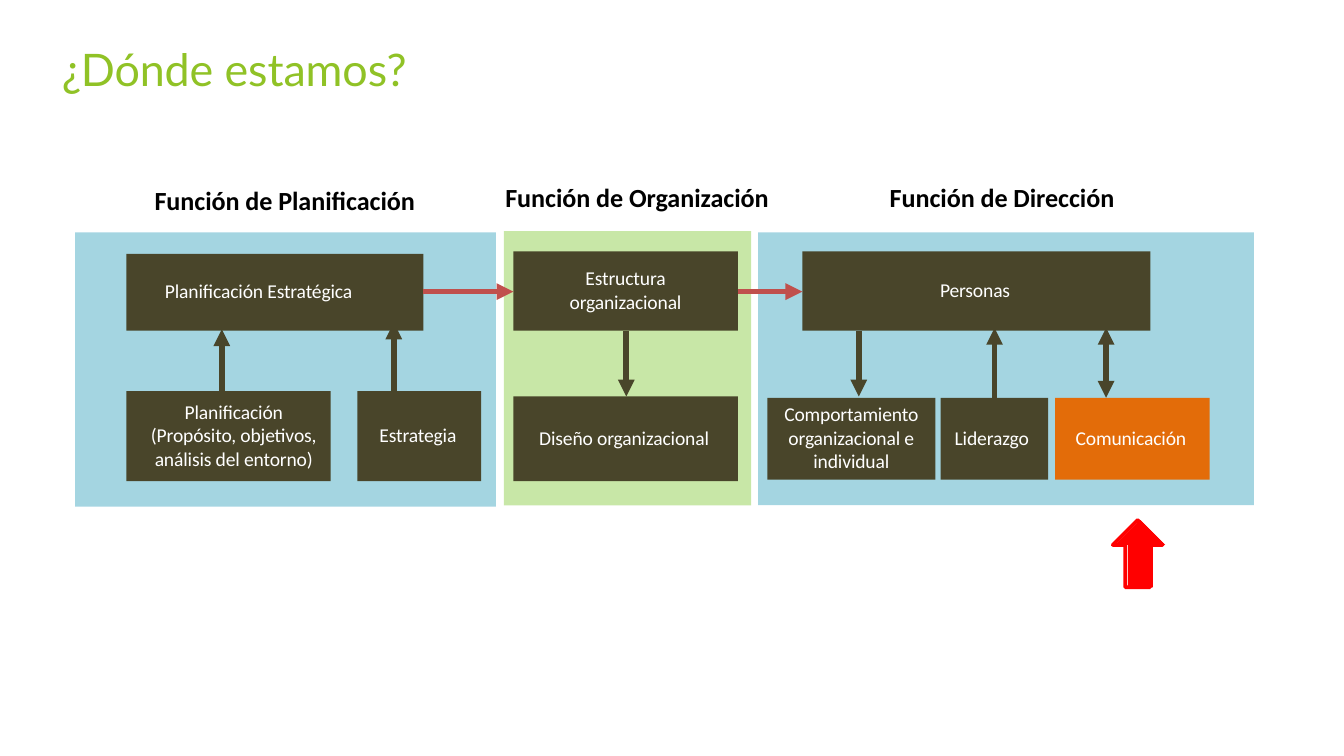
"""Build the slide that places communication among the management functions."""
from lxml import etree
from pptx import Presentation, util as u
from pptx.dml.color import RGBColor
from pptx.enum import shapes, text
from pptx.oxml.ns import qn

WIDTH, HEIGHT = 10, 10 * 9 / 16
BLUE, GREEN, BROWN, ORANGE = "4AACC5", "92D050", "49452A", "E36C09"
ROSE, RED, WHITE, BLACK = "C0504D", "FF0000", "FFFFFF", "000000"
TITLE = ("¿Dónde estamos?", (0.46, 0.29, 4.04, 0.43))

# Each function: heading, its box, panel box, panel colour
FUNCTIONS = [
    ("Función de Planificación", (1.15, 1.35, 2.29, 0.25), (0.56, 1.73, 3.13, 2.04), BLUE),
    ("Función de Organización", (3.76, 1.33, 2.39, 0.25), (3.75, 1.72, 1.84, 2.04), GREEN),
    ("Función de Dirección", (6.62, 1.33, 2.22, 0.25), (5.64, 1.73, 3.69, 2.03), BLUE),
]
# Each box: lines, place, colour, sideways shift of the words
BOXES = [
    (["Planificación Estratégica"], (0.94, 1.89, 2.21, 0.57), BROWN, -0.12),
    (["Planificación", "(Propósito, objetivos,", "análisis del entorno)"],
     (0.94, 2.91, 1.52, 0.67), BROWN, 0.04),
    (["Estrategia"], (2.66, 2.91, 0.92, 0.67), BROWN, -0.01),
    (["Estructura", "organizacional"], (3.82, 1.87, 1.67, 0.59), BROWN, 0),
    (["Diseño organizacional"], (3.82, 2.95, 1.67, 0.63), BROWN, -0.01),
    (["Personas"], (5.97, 1.87, 2.59, 0.59), BROWN, -0.01),
    (["Comportamiento", "organizacional e", "individual"],
     (5.71, 2.96, 1.25, 0.61), BROWN, 0),
    (["Liderazgo"], (7, 2.96, 0.8, 0.61), BROWN, -0.02),
    (["Comunicación"], (7.85, 2.96, 1.15, 0.61), ORANGE, -0.01),
]
# Each arrow: from, to, colour, ends that carry a head
ARROWS = [
    ((3.15, 2.17), (3.82, 2.17), ROSE, ["tailEnd"]),
    ((5.49, 2.17), (5.97, 2.17), ROSE, ["tailEnd"]),
    ((1.65, 2.91), (1.65, 2.45), BROWN, ["tailEnd"]),
    ((2.93, 2.91), (2.93, 2.4), BROWN, ["tailEnd"]),
    ((4.66, 2.46), (4.66, 2.95), BROWN, ["tailEnd"]),
    ((6.39, 2.46), (6.39, 2.95), BROWN, ["tailEnd"]),
    ((7.4, 2.96), (7.4, 2.44), BROWN, ["tailEnd"]),
    ((8.23, 2.44), (8.23, 2.96), BROWN, ["headEnd", "tailEnd"]),
]
MARKER_FILL, MARKER_OUTLINE = (8.3, 3.87, 0.37, 0.5), (8.28, 3.87, 0.37, 0.5)


def color(value):
    return RGBColor.from_string(value)


def inches(values):
    return [u.Inches(value) for value in values]


def write(shape, words, size, ink, font="Calibri", bold=False, centered=False, shift=0):
    frame = shape.text_frame
    frame.text = words
    settings = {
        "word_wrap": not centered,
        "auto_size": text.MSO_AUTO_SIZE.NONE,
        "vertical_anchor": text.MSO_ANCHOR.MIDDLE if centered else text.MSO_ANCHOR.TOP,
        "margin_left": u.Inches(max(0, 2 * shift)),
        "margin_right": u.Inches(max(0, -2 * shift)),
        "margin_top": 0 if centered else u.Inches(0.02),
        "margin_bottom": u.Inches(0.02) if centered else 0,
    }
    for name, value in settings.items():
        setattr(frame, name, value)
    paragraph = frame.paragraphs[0]
    paragraph.alignment = text.PP_ALIGN.CENTER if centered else text.PP_ALIGN.LEFT
    for run in paragraph.runs:
        for name, value in {"name": font, "size": u.Pt(size), "bold": bold}.items():
            setattr(run.font, name, value)
        run.font.color.rgb = color(ink)
        run.font._element.set("spc", "-5")


def add_block(slide, place, fill, preset=shapes.MSO_SHAPE.RECTANGLE, opacity=100):
    shape = slide.shapes.add_shape(preset, *inches(place))
    shape.shadow.inherit = False
    shape.line.fill.background()
    shape.fill.solid()
    shape.fill.fore_color.rgb = color(fill)
    if opacity < 100:
        tint = shape.fill._xPr.find(".//" + qn("a:srgbClr"))
        etree.SubElement(tint, qn("a:alpha"), val=str(opacity * 1000))
    return shape


def add_arrow(slide, start, end, stroke, heads):
    arrow = slide.shapes.add_connector(shapes.MSO_CONNECTOR.STRAIGHT, *inches(start + end))
    arrow.line.width = u.Pt(3)
    arrow.line.color.rgb = color(stroke)
    for head in heads:
        etree.SubElement(arrow.line._get_or_add_ln(), qn("a:" + head), type="triangle")
    etree.SubElement(arrow._element.spPr, qn("a:effectLst"))


def main():
    presentation = Presentation()
    presentation.slide_width, presentation.slide_height = inches((WIDTH, HEIGHT))
    slide = presentation.slides.add_slide(presentation.slide_layouts[5])
    title = slide.shapes.title
    words, place = TITLE
    title.left, title.top, title.width, title.height = inches(place)
    write(title, words, 24, "90C226", font="Lato")

    for heading, place, panel, fill in FUNCTIONS:
        add_block(slide, panel, fill, opacity=50)
        write(slide.shapes.add_textbox(*inches(place)), heading, 14, BLACK, bold=True)
    for lines, place, fill, shift in BOXES:
        box = add_block(slide, place, fill)
        write(box, "\v".join(lines), 10.5, WHITE, centered=True, shift=shift)
    for arrow in ARROWS:
        add_arrow(slide, *arrow)

    add_block(slide, MARKER_FILL, RED, shapes.MSO_SHAPE.UP_ARROW)
    outline = add_block(slide, MARKER_OUTLINE, RED, shapes.MSO_SHAPE.UP_ARROW)
    outline.fill.background()
    outline.line.color.rgb = color(RED)
    outline.line.width = u.Pt(2)
    presentation.save("out.pptx")


if __name__ == "__main__":
    main()
